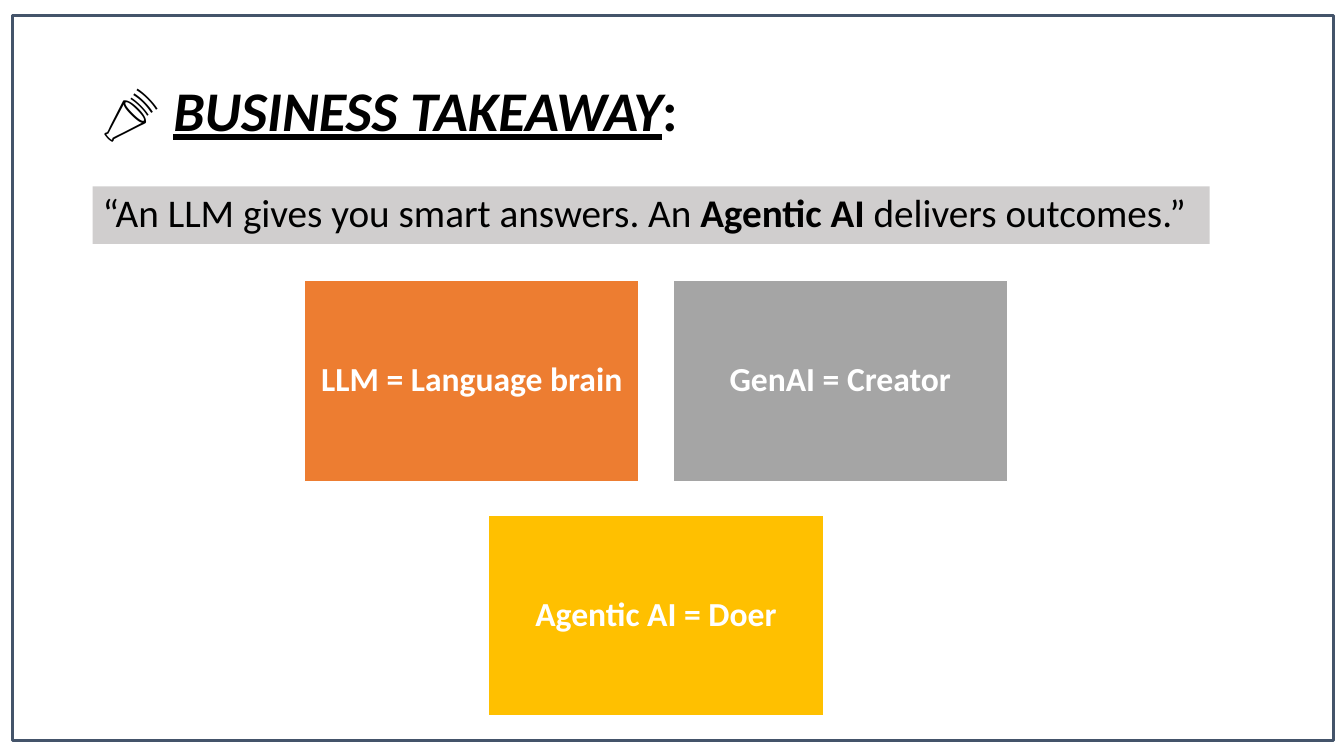
from pptx import Presentation
from pptx import util as u
from pptx.dml.color import RGBColor
from pptx.enum import shapes, text

Pt = u.Pt

BLACK = RGBColor(0x00, 0x00, 0x00)
WHITE = RGBColor(0xFF, 0xFF, 0xFF)
SLATE = RGBColor(0x44, 0x54, 0x6A)
SILVER = RGBColor(0xD0, 0xCE, 0xCE)
ORANGE = RGBColor(0xED, 0x7D, 0x31)
GRAY = RGBColor(0xA5, 0xA5, 0xA5)
GOLD = RGBColor(0xFF, 0xC0, 0x00)


class Deck:
    """Holds the style and the current slide."""
    font = "Calibri"

    def __init__(self, wide, high):
        self.prs = Presentation()
        self.prs.slide_width, self.prs.slide_height = Pt(wide), Pt(high)
        self.slide = self.prs.slides.add_slide(self.prs.slide_layouts[5])

    def label(self, shape, parts, size, color, align=text.PP_ALIGN.LEFT):
        """Fill a shape with one paragraph of (words, styles) parts."""
        frame = shape.text_frame
        frame.word_wrap = True
        frame.auto_size = text.MSO_AUTO_SIZE.NONE
        frame.vertical_anchor = text.MSO_ANCHOR.MIDDLE
        para = frame.paragraphs[0]
        para.alignment, para.line_spacing = align, 0.9
        for words, style in parts:
            run = para.add_run()
            run.text = words
            font = run.font
            font.name, font.size, font.color.rgb = self.font, Pt(size), color
            font.bold = "b" in style
            font.italic = "i" in style
            font.underline = "u" in style

    def title(self, box, parts, size):
        shape = self.slide.shapes.title
        shape.left, shape.top, shape.width, shape.height = map(Pt, box)
        self.label(shape, parts, size, BLACK)

    def rect(self, box, fill=None, line=None, width=1):
        shape = self.slide.shapes.add_shape(
            shapes.MSO_SHAPE.RECTANGLE, *map(Pt, box))
        shape.shadow.inherit = False
        if fill is None:
            shape.fill.background()
        else:
            shape.fill.solid()
            shape.fill.fore_color.rgb = fill
        if line is None:
            shape.line.fill.background()
        else:
            shape.line.color.rgb = line
            shape.line.width = Pt(width)
        return shape

    def card(self, box, words, fill):
        shape = self.rect(box, fill, WHITE)
        self.label(shape, [(words, "b")], 24, WHITE, text.PP_ALIGN.CENTER)


def main():
    deck = Deck(960, 540)

    # Frame and title
    deck.rect((8.64, 10.8, 943.92, 518.4), line=SLATE, width=2.25)
    deck.title((66.24, 28.8, 828, 104.4),
               [("📣 ", "b"), ("BUSINESS TAKEAWAY", "biu"), (":", "b")], 40)

    # Quote band
    band = deck.rect((66.24, 133.2, 797.76, 41.04), SILVER)
    deck.label(band, [("“An LLM gives you smart answers. An ", ""),
                      ("Agentic AI", "b"),
                      (" delivers outcomes.”", "")], 28, BLACK)

    # Cards: two above, one centred below
    left, top, wide, high, gap = 217.5, 200.4, 239, 143.4, 24.2
    cards = [("LLM = Language brain", ORANGE, 0, 0),
             ("GenAI = Creator", GRAY, 1, 0),
             ("Agentic AI = Doer", GOLD, 0.5, 1)]
    for words, fill, col, row in cards:
        deck.card((left + col * (wide + gap), top + row * (high + gap),
                   wide, high), words, fill)

    deck.prs.save("out.pptx")


if __name__ == "__main__":
    main()
